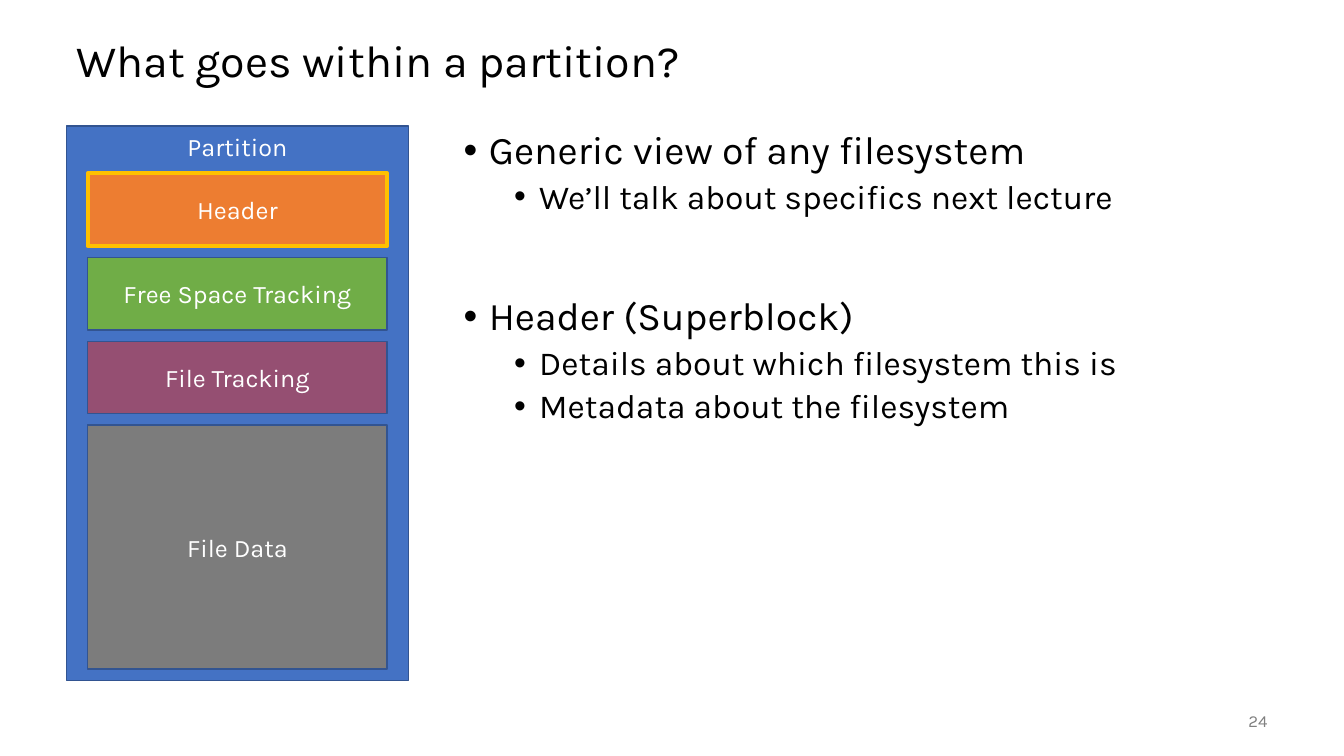
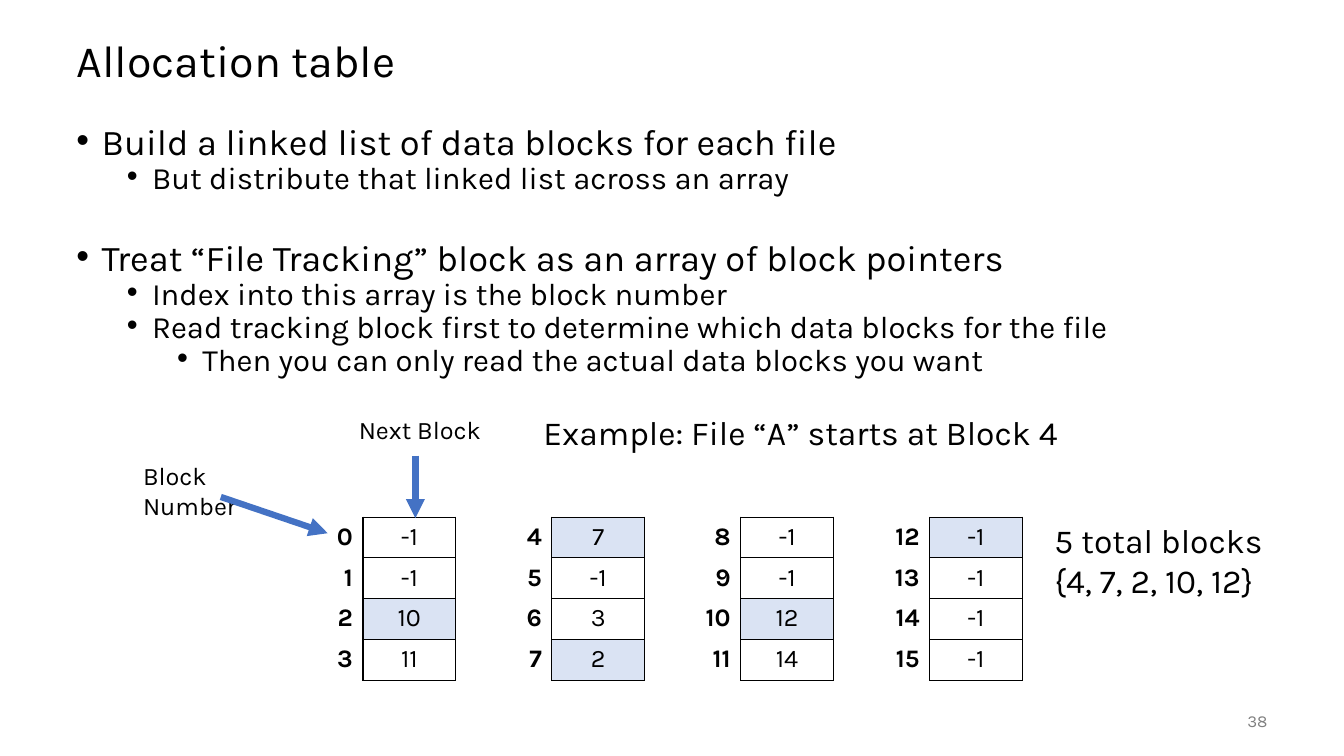
from lxml import etree
from pptx import Presentation
from pptx import util as u
from pptx.dml.color import RGBColor
from pptx.enum import shapes, text
from pptx.oxml import ns

COLOURS = {
    "ink": "000000", "white": "FFFFFF", "muted": "808080",
    "blue": "4472C4", "edge": "325491", "orange": "ED7D31", "gold": "FFC000",
    "green": "70AD47", "plum": "954F72", "grey": "7C7C7C", "pale": "DAE3F3",
}
FONT = "Karla"
LEFT, ALIGN, ANCHOR = 0.66, text.PP_ALIGN, text.MSO_ANCHOR
TITLE_BOX = (LEFT, 0.25, 12, 0.75)
NUMBER_BOX = (11.67, 6.95, 1, 0.4)
PARTITION_BLOCKS = [
    ("Header", "orange", 0.72, "gold", 3),
    ("Free Space Tracking", "green", 0.72, "edge", 1),
    ("File Tracking", "plum", 0.72, "edge", 1),
    ("File Data", "grey", 2.42, "edge", 1),
]
NEXT_BLOCKS = [-1, -1, 10, 11, 7, -1, 3, 2, -1, -1, 12, 14, -1, -1, -1, -1]
FILE_START = 4


def colour(name):
    """Return the named colour."""
    return RGBColor.from_string(COLOURS[name])


def inches(*lengths):
    """Turn numbers into lengths."""
    return [u.Inches(length) for length in lengths]


def apply(target, values):
    """Set each value of a dict as an attribute."""
    for name, value in values.items():
        setattr(target, name, value)


def add_element(parent, tag, **attributes):
    """Append a drawing element to an XML parent."""
    return etree.SubElement(parent, ns.qn(tag), attributes)


def write(para, words, size, ink="ink", align=ALIGN.LEFT, **font):
    """Fill a paragraph with words in the deck's font."""
    para.text = words
    para.alignment = align
    for span in para.runs:
        apply(span.font, {"name": FONT, "size": u.Pt(size), **font})
        span.font.color.rgb = colour(ink)


def add_text(page, box, words, size, anchor=ANCHOR.TOP, **style):
    """Place a wrapping text box with one paragraph."""
    frame = page.shapes.add_textbox(*inches(*box)).text_frame
    apply(frame, {"word_wrap": True, "vertical_anchor": anchor})
    write(frame.paragraphs[0], words, size, **style)
    return frame


def add_page(deck, title, number):
    """Add a page with its title and number."""
    page = deck.slides.add_slide(deck.slide_layouts[6])
    frame = add_text(page, TITLE_BOX, title, 32, ANCHOR.MIDDLE)
    frame.paragraphs[0].line_spacing = 0.9
    add_text(page, NUMBER_BOX, str(number), 12, ANCHOR.MIDDLE,
             ink="muted", align=ALIGN.RIGHT)
    return page


def add_bullets(page, box, items, sizes, spacing, section_gap):
    """Place bullets, with a wider gap before each later top-level one."""
    frame = page.shapes.add_textbox(*inches(*box)).text_frame
    frame.word_wrap = True
    for index, (level, words) in enumerate(items):
        para = frame.add_paragraph() if index else frame.paragraphs[0]
        properties = para._p.get_or_add_pPr()
        properties.set("marL", str(u.Inches(0.25 + 0.5 * level)))
        properties.set("indent", str(u.Inches(-0.25)))
        add_element(properties, "a:buFont", typeface="Arial")
        add_element(properties, "a:buChar", char="•")
        before = 0 if index == 0 else 5 if level else section_gap
        apply(para, {"level": level, "line_spacing": spacing,
                     "space_before": u.Pt(before)})
        write(para, words, sizes[min(level, 1)])


def add_block(group, box, words, fill, edge, weight, anchor=ANCHOR.MIDDLE):
    """Draw one labelled rectangle."""
    block = group.shapes.add_shape(shapes.MSO_SHAPE.RECTANGLE, *inches(*box))
    block.shadow.inherit = False
    block.fill.solid()
    block.fill.fore_color.rgb = colour(fill)
    block.line.color.rgb = colour(edge)
    block.line.width = u.Pt(weight)
    block.text_frame.vertical_anchor = anchor
    write(block.text_frame.paragraphs[0], words, 18, "white", ALIGN.CENTER)


def add_partition(page, box):
    """Draw the partition with its blocks spread by equal gaps."""
    left, top, width, height = box
    group = page.shapes.add_group_shape()
    add_block(group, box, "Partition", "blue", "edge", 1, ANCHOR.TOP)
    heading, inset = 0.47, 0.21
    used = sum(block[2] for block in PARTITION_BLOCKS)
    gap = (height - heading - used) / len(PARTITION_BLOCKS)
    block_top = top + heading
    for words, fill, block_height, edge, weight in PARTITION_BLOCKS:
        block_box = (left + inset, block_top, width - 2 * inset, block_height)
        add_block(group, block_box, words, fill, edge, weight)
        block_top += block_height + gap


def set_borders(cell, sides):
    """Draw the given sides of a cell and clear the others."""
    properties = cell._tc.get_or_add_tcPr()
    for side in "LRTB":
        line = add_element(properties, f"a:ln{side}", w=str(u.Pt(1)))
        if side in sides:
            fill = add_element(line, "a:solidFill")
            add_element(fill, "a:srgbClr", val=COLOURS["ink"])
        else:
            add_element(line, "a:noFill")


def file_chain(start):
    """Follow the next-block entries from a file's first block."""
    chain = []
    while start != -1:
        chain.append(start)
        start = NEXT_BLOCKS[start]
    return chain


def add_allocation(page, box, first, count, marked):
    """Place a table of block numbers and their next blocks."""
    table = page.shapes.add_table(count, 2, *inches(*box)).table
    apply(table, {"first_row": False, "horz_banding": False})
    for column, width in zip(table.columns, (0.53, 0.92)):
        column.width = u.Inches(width)
    for row in range(count):
        table.rows[row].height = u.Inches(box[3] / count)
        block = first + row
        number, following = table.cell(row, 0), table.cell(row, 1)
        set_borders(number, "R")
        set_borders(following, "LRTB")
        for cell in (number, following):
            cell.fill.background()
        if block in marked:
            following.fill.solid()
            following.fill.fore_color.rgb = colour("pale")
        write(number.text_frame.paragraphs[0], str(block), 18,
              align=ALIGN.RIGHT, bold=True)
        write(following.text_frame.paragraphs[0], str(NEXT_BLOCKS[block]), 18,
              align=ALIGN.CENTER, bold=False)


def add_arrow(page, start, end):
    """Draw a straight blue arrow."""
    arrow = page.shapes.add_connector(
        shapes.MSO_CONNECTOR.STRAIGHT, *inches(*start, *end))
    arrow.line.color.rgb = colour("blue")
    arrow.line.width = u.Pt(4.5)
    add_element(arrow.line._get_or_add_ln(), "a:tailEnd", type="triangle")
    add_element(arrow._element.spPr, "a:effectLst")


def add_example(page, box):
    """Place the four tables with their labels and arrows."""
    left, top, width, height = box
    tables = 4
    count = len(NEXT_BLOCKS) // tables
    table_width = 1.45
    pitch = (width - table_width) / (tables - 1)
    chain = file_chain(FILE_START)
    for index in range(tables):
        table_box = (left + index * pitch, top + 1.09, table_width, height - 1.09)
        add_allocation(page, table_box, index * count, count, chain)
    labels = [
        ((-1.75, 0.48, 1.75, 0.4), "Block Number", 18),
        ((0.39, 0.02, 1.75, 0.4), "Next Block", 18),
        ((2.22, 0, 5.43, 0.5), "Example: File “A” starts at Block 4", 24),
        ((7.29, 1.07, 2.61, 0.91), "5 total blocks\n{4, 7, 2, 10, 12}", 24),
    ]
    for (across, down, *size), words, points in labels:
        add_text(page, (left + across, top + down, *size), words, points)
    add_arrow(page, (left - 0.88, top + 0.89), (left + 0.18, top + 1.25))
    add_arrow(page, (left + 1.05, top + 0.48), (left + 1.05, top + 1.1))


def partition_page(deck):
    """Build the page on the parts of a partition."""
    page = add_page(deck, "What goes within a partition?", 24)
    add_bullets(page, (4.5, 1.25, 8.16, 5.5), [
        (0, "Generic view of any filesystem"),
        (1, "We’ll talk about specifics next lecture"),
        (0, "Header (Superblock)"),
        (1, "Details about which filesystem this is"),
        (1, "Metadata about the filesystem"),
    ], (28, 24), 0.9, 57.5)
    add_partition(page, (LEFT, 1.25, 3.39, 5.5))


def allocation_page(deck):
    """Build the page on the allocation table."""
    page = add_page(deck, "Allocation table", 38)
    add_example(page, (3.07, 4.04, 7.07, 2.71))
    add_bullets(page, (LEFT, 1.25, 12.27, 2.79), [
        (0, "Build a linked list of data blocks for each file"),
        (1, "But distribute that linked list across an array"),
        (0, "Treat “File Tracking” block as an array of block pointers"),
        (1, "Index into this array is the block number"),
        (1, "Read tracking block first to determine which data blocks for the file"),
        (2, "Then you can only read the actual data blocks you want"),
    ], (25.9, 22.2), 0.7, 37.5)


def main():
    """Build and save the deck."""
    deck = Presentation()
    apply(deck, {"slide_width": u.Inches(13.33), "slide_height": u.Inches(7.5)})
    partition_page(deck)
    allocation_page(deck)
    deck.save("out.pptx")


if __name__ == "__main__":
    main()
